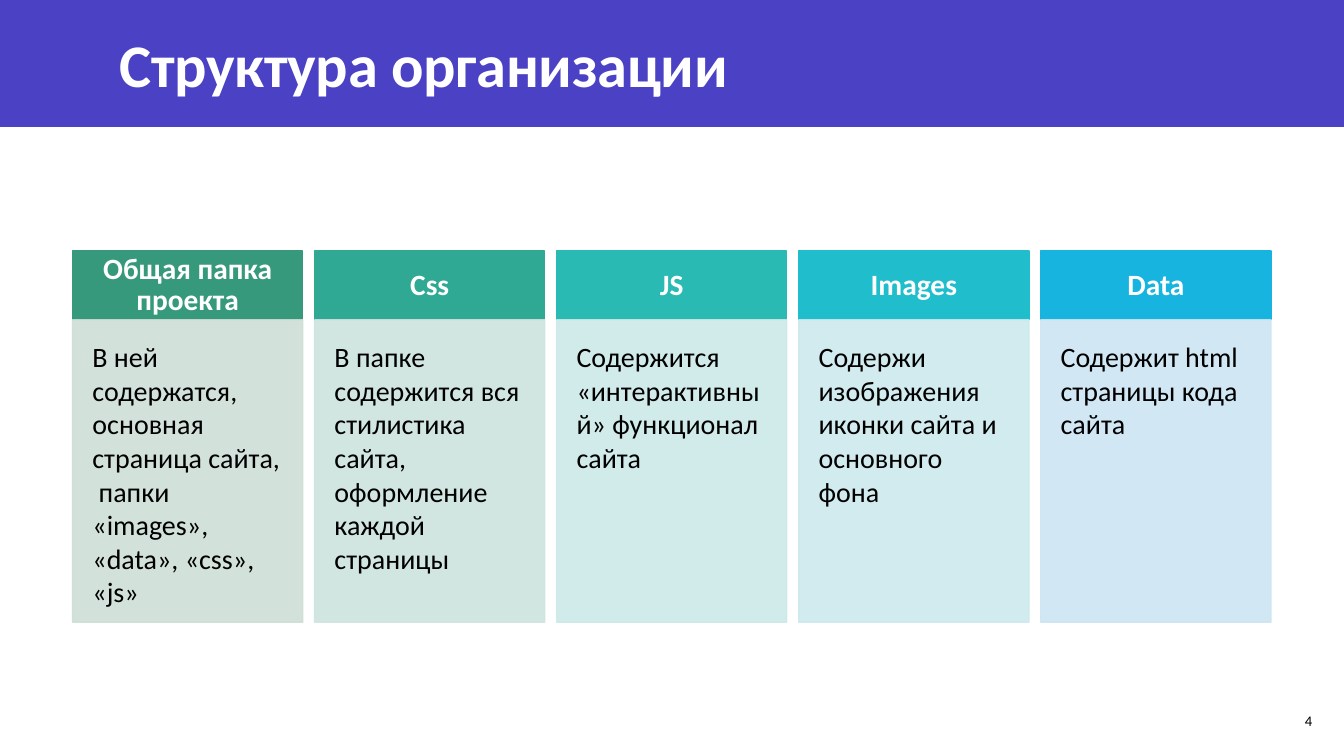
from lxml.etree import SubElement
from pptx import Presentation
from pptx.dml.color import RGBColor
from pptx.enum.shapes import MSO_SHAPE
from pptx.enum.text import MSO_ANCHOR, PP_ALIGN
from pptx.oxml.ns import qn
from pptx.util import Cm, Pt

COLORS = {"banner": "4A41C5", "white": "FFFFFF", "black": "000000"}

# Heading, description, heading colour, description colour
FOLDERS = [
    ("Общая папка проекта",
     "В ней содержатся, основная страница сайта,  папки «images», «data», «css», «js»",
     "37997B", "CEDED7"),
    ("Css", "В папке содержится вся стилистика сайта, оформление каждой страницы",
     "30A994", "CDE4DE"),
    ("JS", "Содержится «интерактивный» функционал сайта", "29BAB4", "CCE9E8"),
    ("Images", "Содержи изображения иконки сайта и основного фона", "20BECC", "CCE9EE"),
    ("Data", "Содержит html страницы кода сайта", "17B4DF", "CCE5F3"),
]
LEFT, PITCH, WIDTH = 1.83, 6.1, 5.8
HEADING_TOP, HEADING_HEIGHT, BODY_HEIGHT = 6.33, 1.73, 7.62

prs = Presentation()
prs.slide_width, prs.slide_height = Cm(33.87), Cm(19.05)
slide = prs.slides.add_slide(prs.slide_layouts[6])


def add_rect(left, top, width, height, color, opacity=100):
    rect = slide.shapes.add_shape(
        MSO_SHAPE.RECTANGLE, Cm(left), Cm(top), Cm(width), Cm(height))
    rect.shadow.inherit = False
    rect.fill.solid()
    rect.fill.fore_color.rgb = RGBColor.from_string(color)
    rect.line.color.rgb = RGBColor.from_string(color)
    rect.line.width = Pt(1)
    if opacity < 100:
        for tint in list(rect._element.spPr.iter(qn("a:srgbClr"))):
            SubElement(tint, qn("a:alpha"), val=str(opacity * 1000))
    return rect


def write(shape, text, size, color, align, anchor, bold=False, inset=None):
    frame = shape.text_frame
    frame.text = text
    frame.word_wrap = True
    frame.vertical_anchor = anchor
    if inset is not None:
        frame.margin_left = frame.margin_right = Cm(inset)
        frame.margin_top = frame.margin_bottom = Cm(inset)
    paragraph = frame.paragraphs[0]
    paragraph.alignment = align
    font = paragraph.runs[0].font
    font.name, font.size, font.bold = "Calibri", Pt(size), bold
    font.color.rgb = RGBColor.from_string(color)
    return paragraph


# Title banner
banner = add_rect(0, 0, 33.87, 3.2, COLORS["banner"])
banner.line.fill.background()
title = slide.shapes.add_textbox(Cm(2.77), Cm(0.53), Cm(27.84), Cm(2.11))
title_line = write(title, "Структура организации", 43.2, COLORS["white"],
                   PP_ALIGN.LEFT, MSO_ANCHOR.MIDDLE, bold=True)
title_line.runs[0]._r.get_or_add_rPr().set("spc", "-20")

# Folder columns
for index, (name, description, heading_color, body_color) in enumerate(FOLDERS):
    left = LEFT + index * PITCH
    heading = add_rect(left, HEADING_TOP, WIDTH, HEADING_HEIGHT, heading_color)
    heading_line = write(heading, name, 21, COLORS["white"], PP_ALIGN.CENTER,
                         MSO_ANCHOR.MIDDLE, bold=True, inset=0.46)
    heading_line.line_spacing = 0.9
    body = add_rect(left, HEADING_TOP + HEADING_HEIGHT, WIDTH, BODY_HEIGHT,
                    body_color, opacity=90)
    write(body, description, 20, COLORS["black"], PP_ALIGN.LEFT,
          MSO_ANCHOR.TOP, inset=0.5)

# Slide number
number = slide.shapes.add_textbox(Cm(31.57), Cm(17.65), Cm(1.75), Cm(1.02))
write(number, "4", 10.5, COLORS["black"], PP_ALIGN.RIGHT, MSO_ANCHOR.MIDDLE)

prs.save("out.pptx")
